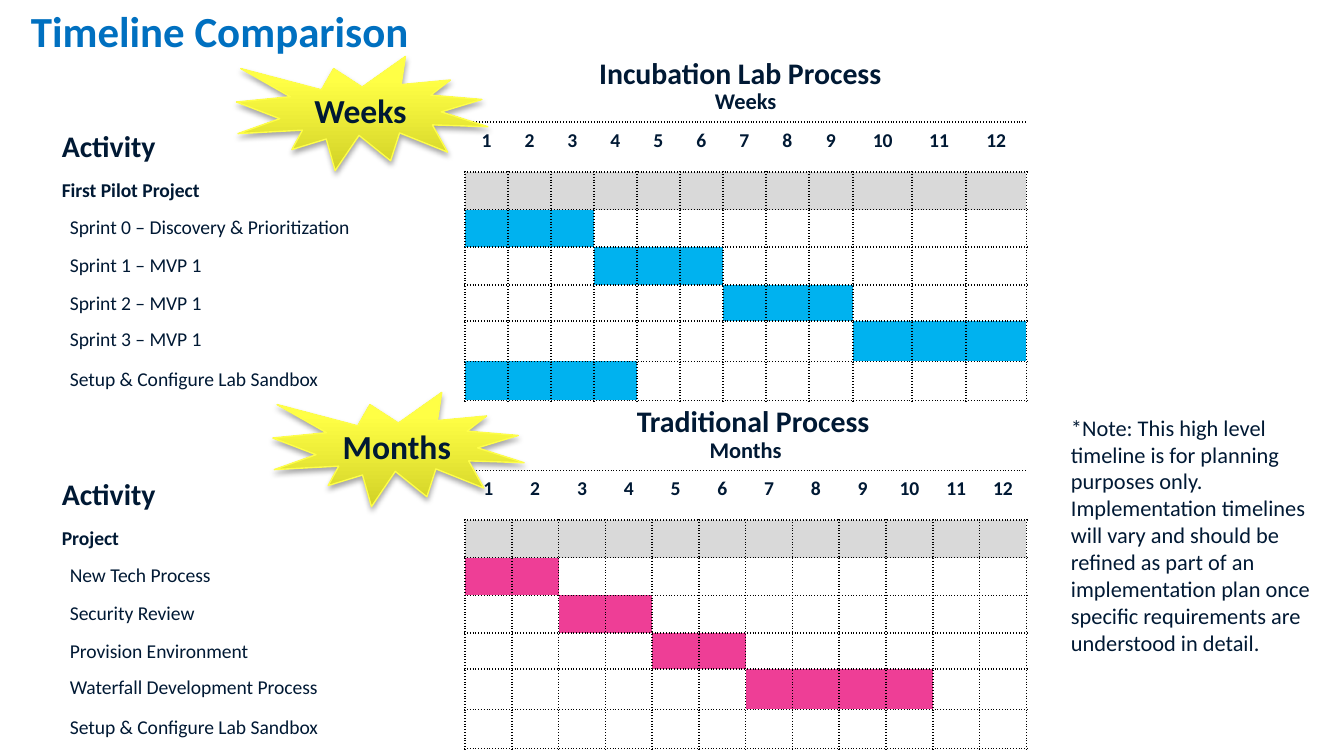
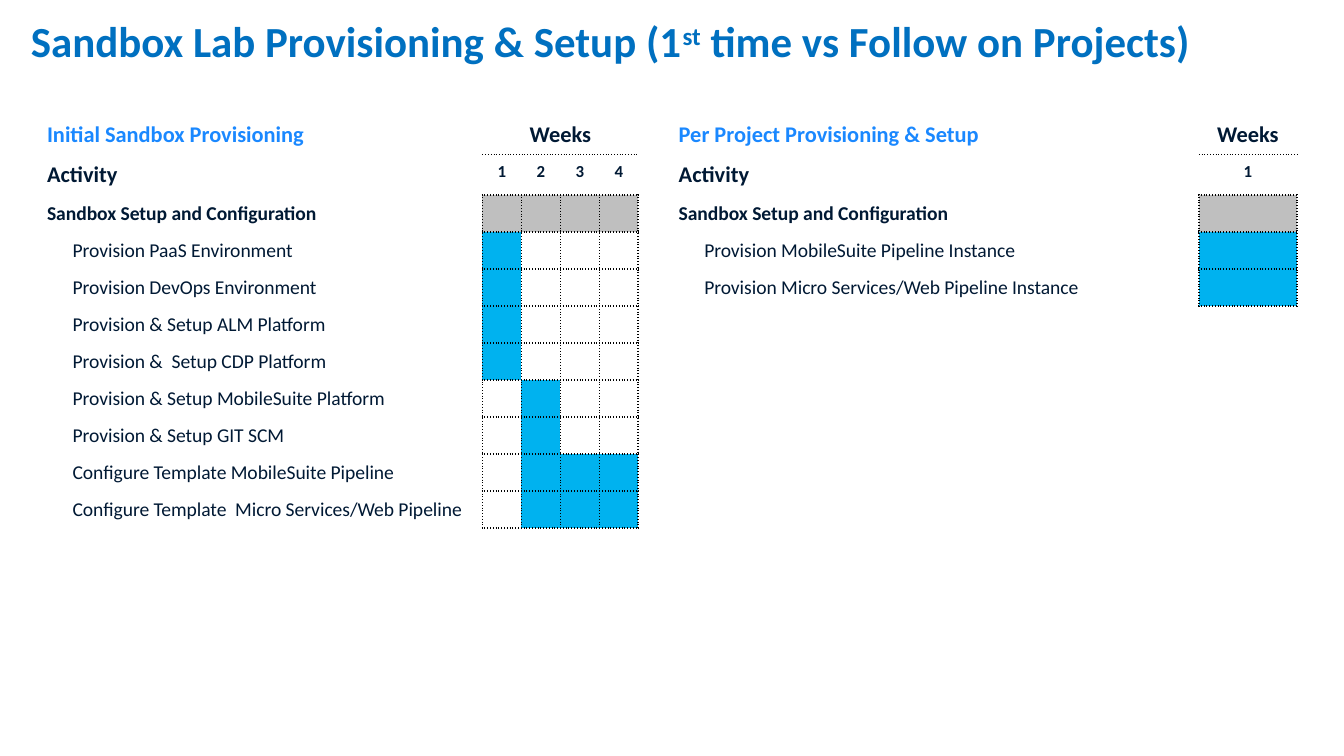
from copy import deepcopy
from dataclasses import dataclass

from lxml import etree
from pptx import Presentation
from pptx.dml.color import RGBColor
from pptx.enum import shapes, text
from pptx.oxml import ns
from pptx.util import Inches, Pt

FONT = "Calibri"
NAVY = RGBColor(0x00, 0x19, 0x34)
TITLE_BLUE = RGBColor(0x00, 0x70, 0xC0)
HEAD_BLUE = RGBColor(0x1A, 0x88, 0xFF)
CYAN = RGBColor(0x00, 0xB2, 0xEF)
PINK = RGBColor(0xEE, 0x3E, 0x96)
LIGHT_GREY = RGBColor(0xD9, 0xD9, 0xD9)
MID_GREY = RGBColor(0xBF, 0xBF, 0xBF)
YELLOW_EDGE = RGBColor(0xFE, 0xFE, 0x49)
YELLOW_DARK = RGBColor(0xD2, 0xD2, 0x27)
YELLOW = RGBColor(0xFF, 0xFF, 0x45)
BLACK = RGBColor(0, 0, 0)

LEFT, CENTER = text.PP_ALIGN.LEFT, text.PP_ALIGN.CENTER


@dataclass
class GanttStyle:
    bar: RGBColor
    phase: RGBColor
    activity_size: float
    number_size: float
    hanging: float


LAB = GanttStyle(CYAN, LIGHT_GREY, 16, 10.5, 0.44)
TRADITIONAL = GanttStyle(PINK, LIGHT_GREY, 16, 10.5, 0.44)
SANDBOX = GanttStyle(CYAN, MID_GREY, 12, 9, 0.31)

PROCESS_ROWS = [0.3, 0.37, 0.28, 0.28, 0.28, 0.27, 0.3, 0.29]
SANDBOX_HEADS = [0.3, 0.3]
SANDBOX_ROW = 2.48 / 9

LAB_TASKS = [  # label, first period, last period
    ("Sprint 0 – Discovery & Prioritization", 1, 3),
    ("Sprint 1 – MVP 1", 4, 6),
    ("Sprint 2 – MVP 1", 7, 9),
    ("Sprint 3 – MVP 1", 10, 12),
    ("Setup & Configure Lab Sandbox", 1, 4),
]
TRADITIONAL_TASKS = [
    ("New Tech Process", 1, 2),
    ("Security Review", 3, 4),
    ("Provision Environment", 5, 6),
    ("Waterfall Development Process", 7, 10),
    ("Setup & Configure Lab Sandbox", 0, 0),
]
INITIAL_TASKS = [
    ("Provision PaaS Environment", 1, 1),
    ("Provision DevOps Environment", 1, 1),
    ("Provision & Setup ALM Platform", 1, 1),
    ("Provision &  Setup CDP Platform", 1, 1),
    ("Provision & Setup MobileSuite Platform", 2, 2),
    ("Provision & Setup GIT SCM", 2, 2),
    ("Configure Template MobileSuite Pipeline", 2, 4),
    ("Configure Template  Micro Services/Web Pipeline", 2, 4),
]
PROJECT_TASKS = [
    ("Provision MobileSuite Pipeline Instance", 1, 1),
    ("Provision Micro Services/Web Pipeline Instance", 1, 1),
]


def set_font(p, size, color=NAVY, bold=True):
    p.font.name = FONT
    p.font.size = Pt(size)
    p.font.bold = bold
    p.font.color.rgb = color


def child(parent, tag, **attrs):
    return etree.SubElement(parent, ns.qn(tag), attrs)


def set_borders(cell, sides):
    """Draw dotted lines on the sides named in `sides` and none on the rest."""
    tcPr = cell._tc.get_or_add_tcPr()
    for i, side in enumerate("LRTB"):
        ln = etree.Element(ns.qn("a:ln" + side), w=str(Pt(1)))
        if side in sides:
            child(child(ln, "a:solidFill"), "a:srgbClr", val=str(BLACK))
            child(ln, "a:prstDash", val="sysDot")
        else:
            child(ln, "a:noFill")
        tcPr.insert(i, ln)


def fill_cell(cell, sides="", fill=None, label="", size=9, color=NAVY,
              bold=True, align=LEFT, hanging=None):
    if fill is None:
        cell.fill.background()
    else:
        cell.fill.solid()
        cell.fill.fore_color.rgb = fill
    cell.margin_bottom = Inches(0.04)
    set_borders(cell, sides)
    p = cell.text_frame.paragraphs[0]
    p.alignment = align
    if hanging is not None:
        p.level = 1
        pPr = p._p.get_or_add_pPr()
        pPr.set("marL", str(Inches(0.5)))
        pPr.set("indent", str(-Inches(hanging)))
    set_font(p, size, color, bold)
    if label:
        p.add_run().text = label
    else:
        child(p._p, "a:endParaRPr", sz=str(int(size * 100)))


def add_gantt(slide, left, top, cols, rows, style, heading, unit, phase, tasks):
    """Place a schedule: two header rows, a phase row, then one row per task."""
    frame = slide.shapes.add_table(len(rows), len(cols), Inches(left), Inches(top),
                                   Inches(sum(cols)), Inches(sum(rows)))
    table = frame.table
    table.first_row = table.horz_banding = False
    for column, width in zip(table.columns, cols):
        column.width = Inches(width)
    for row, height in zip(table.rows, rows):
        row.height = Inches(height)

    periods = range(1, len(cols))
    fill_cell(table.cell(0, 0), label=heading, size=12, color=HEAD_BLUE)
    fill_cell(table.cell(1, 0), label="Activity", size=style.activity_size)
    fill_cell(table.cell(2, 0), "R", label=phase, size=10.5)
    for n in periods:
        fill_cell(table.cell(0, n), "B", label=unit if n == 1 else "",
                  size=12, align=CENTER)
        fill_cell(table.cell(1, n), "TB", label=str(n), size=style.number_size,
                  align=CENTER)
        fill_cell(table.cell(2, n), "LRTB", style.phase)
    if len(periods) > 1:
        table.cell(0, 1).merge(table.cell(0, len(periods)))

    for r, (label, first, last) in enumerate(tasks, 3):
        fill_cell(table.cell(r, 0), "R", label=label, size=10.5, bold=False,
                  hanging=style.hanging)
        for n in periods:
            fill_cell(table.cell(r, n), "LRTB",
                      style.bar if first <= n <= last else None)


def add_burst(slide, left, top, label):
    s = slide.shapes.add_shape(shapes.MSO_SHAPE.EXPLOSION1, Inches(left), Inches(top),
                               Inches(1.87), Inches(0.85))
    s.fill.gradient()
    s.fill.gradient_angle = 90
    for stop, color, position in zip(s.fill.gradient_stops, (YELLOW_DARK, YELLOW), (0, 0.8)):
        stop.color.rgb = color
        stop.position = position
    spPr = s._element.spPr
    stops = spPr.find(".//" + ns.qn("a:gsLst"))
    top_stop = deepcopy(stops[-1])
    top_stop.set("pos", "100000")
    stops.append(top_stop)
    s.line.color.rgb = YELLOW_EDGE
    s.line.width = Pt(0.75)

    s.shadow.inherit = False
    shadow = child(spPr.find(ns.qn("a:effectLst")), "a:outerShdw", blurRad=str(Pt(3.1)),
                   dist=str(Pt(1.8)), dir="5400000", rotWithShape="0")
    child(child(shadow, "a:srgbClr", val=str(BLACK)), "a:alpha", val="35000")

    tf = s.text_frame
    tf.vertical_anchor = text.MSO_ANCHOR.MIDDLE
    p = tf.paragraphs[0]
    p.text = label
    p.alignment = CENTER
    set_font(p, 18)


def add_text(slide, left, top, width, height, content, size, bold, wrap):
    tf = slide.shapes.add_textbox(Inches(left), Inches(top), Inches(width),
                                  Inches(height)).text_frame
    tf.word_wrap = wrap
    tf.auto_size = text.MSO_AUTO_SIZE.SHAPE_TO_FIT_TEXT
    p = tf.paragraphs[0]
    p.text = content
    set_font(p, size, bold=bold)


def add_titled_slide(prs, top, *parts):
    """Add a slide whose title joins `parts`; every second one is superscript."""
    slide = prs.slides.add_slide(prs.slide_layouts[5])
    s = slide.shapes.title
    s.left, s.top, s.width, s.height = map(Inches, (0.17, top, 9.75, 0.43))
    tf = s.text_frame
    tf.margin_left = tf.margin_right = Inches(0.06)
    tf.margin_top = tf.margin_bottom = Inches(0.03)
    tf.vertical_anchor = text.MSO_ANCHOR.MIDDLE
    tf.auto_size = text.MSO_AUTO_SIZE.NONE
    tf.word_wrap = True
    p = tf.paragraphs[0]
    p.alignment = LEFT
    p.line_spacing = 0.93
    set_font(p, 23, TITLE_BLUE)
    for i, part in enumerate(parts):
        r = p.add_run()
        r.text = part
        if i % 2:
            r.font._element.set("baseline", "30000")
    return slide


def build_comparison(prs):
    slide = add_titled_slide(prs, 0.03, "Timeline Comparison")
    week_cols = [3.1] + [0.32] * 8 + [0.33, 0.44, 0.4, 0.45]
    month_cols = [3.1] + [4.18 / 12] * 12
    add_gantt(slide, 0.36, 0.61, week_cols, PROCESS_ROWS, LAB,
              "", "Weeks", "First Pilot Project", LAB_TASKS)
    add_gantt(slide, 0.36, 3.2, month_cols, PROCESS_ROWS, TRADITIONAL,
              "", "Months", "Project", TRADITIONAL_TASKS)
    add_burst(slide, 2.03, 2.92, "Months")
    add_burst(slide, 1.76, 0.42, "Weeks")
    add_text(slide, 7.87, 3.03, 2.02, 1.92,
             "*Note: This high level timeline is for planning purposes only.  "
             "Implementation timelines will vary and should be refined as part of an "
             "implementation plan once specific requirements are understood in detail.",
             12, False, True)
    add_text(slide, 4.36, 0.36, 2.33, 0.37, "Incubation Lab Process", 16, True, False)
    add_text(slide, 4.64, 2.95, 1.97, 0.37, "Traditional Process", 16, True, False)


def build_provisioning(prs):
    slide = add_titled_slide(prs, 0.11, "Sandbox Lab Provisioning & Setup (1", "st",
                             " time vs Follow on Projects)")
    for left, cols, heading, tasks in (
        (0.25, [3.34] + [0.29] * 4, "Initial Sandbox Provisioning", INITIAL_TASKS),
        (4.95, [3.97, 0.73], "Per Project Provisioning & Setup", PROJECT_TASKS),
    ):
        rows = SANDBOX_HEADS + [SANDBOX_ROW] * (len(tasks) + 1)
        add_gantt(slide, left, 0.85, cols, rows, SANDBOX, heading, "Weeks",
                  "Sandbox Setup and Configuration", tasks)


def main():
    prs = Presentation()
    prs.slide_width = Inches(10)
    prs.slide_height = prs.slide_width * 9 // 16
    build_comparison(prs)
    build_provisioning(prs)
    prs.save("out.pptx")


if __name__ == "__main__":
    main()
